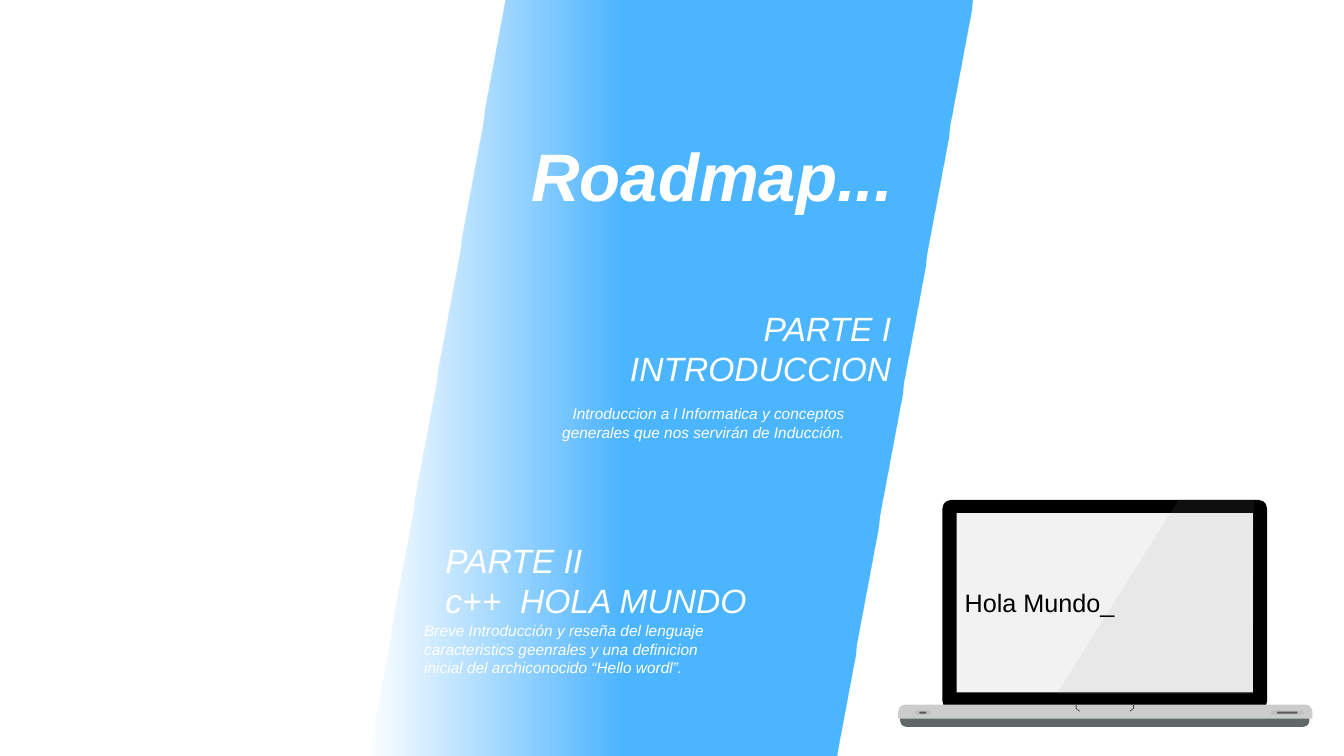
import copy
import pptx
import pptx.util
import pptx.dml.color
import pptx.enum.shapes
import pptx.enum.text
import pptx.oxml.ns
from lxml import etree

UNIT = pptx.util.Inches(0.1)  # grid: columns and rows of a tenth of an inch
KIND = pptx.enum.shapes.MSO_SHAPE
ALIGN = pptx.enum.text.PP_ALIGN
FIT = pptx.enum.text.MSO_AUTO_SIZE
BLUE, WHITE, BLACK = "0195FF", "FFFFFF", "000000"


def grid(*cells):
    return [round(cell * UNIT) for cell in cells]


def tint(color, code):
    color.rgb = pptx.dml.color.RGBColor.from_string(code)


def fade(node, share):
    """Set the opacity, in percent, of the colour inside a node."""
    color = next(node.iter(pptx.oxml.ns.qn("a:srgbClr")))
    for old in list(color):
        color.remove(old)
    alpha = etree.SubElement(color, pptx.oxml.ns.qn("a:alpha"))
    alpha.set("val", str(share * 1000))


def paint(shape, code):
    shape.shadow.inherit = False
    shape.line.fill.background()
    shape.fill.solid()
    tint(shape.fill.fore_color, code)


def add_part(shapes, kind, box, code, adjust=()):
    part = shapes.add_shape(kind, *grid(*box))
    paint(part, code)
    for spot, value in enumerate(adjust):
        part.adjustments[spot] = value
    return part


def add_free(shapes, loops, code):
    """Draw one outline from one or more closed loops of points."""
    loops = [[grid(*point) for point in loop] for loop in loops]
    pen = shapes.build_freeform(*loops[0][0], scale=1.0)
    for spot, loop in enumerate(loops):
        if spot:
            pen.move_to(*loop[0])
        pen.add_line_segments(loop[1:], close=True)
    free = pen.convert_to_shape()
    paint(free, code)
    return free


def write(shape, lines, size, code, align=ALIGN.LEFT, bold=False, slant=True):
    frame = shape.text_frame
    frame.word_wrap = True
    frame.vertical_anchor = pptx.enum.text.MSO_ANCHOR.MIDDLE
    para = frame.paragraphs[0]
    para.alignment = align
    for spot, line in enumerate(lines):
        if spot:
            para.add_line_break()
        run = para.add_run()
        run.text = line
        run.font.name = "Arial"
        run.font.size = pptx.util.Pt(size)
        run.font.bold = bold
        run.font.italic = slant
        tint(run.font.color, code)


def add_text(slide, box, lines, size, align):
    note = slide.shapes.add_textbox(*grid(*box))
    write(note, lines, size, WHITE, align)
    note.text_frame.auto_size = FIT.SHAPE_TO_FIT_TEXT


def add_band(slide):
    band = add_part(slide.shapes, KIND.PARALLELOGRAM,
                    (36.6, 0, 59.9, 75.2), BLUE, [0.226])
    band.fill.gradient()
    band.fill.gradient_angle = 0
    for stop, place in zip(band.fill.gradient_stops, (0, 0.42)):
        tint(stop.color, BLUE)
        stop.position = place
    first, mid = band._element.iter(pptx.oxml.ns.qn("a:gs"))
    fade(first, 0)
    fade(mid, 70)
    last = copy.deepcopy(mid)
    last.set("pos", "100000")
    mid.addnext(last)
    slide.shapes._spTree.insert(2, band._element)  # behind the title


def add_title(slide):
    title = slide.shapes.title
    title.left, title.top, title.width, title.height = grid(51.7, 12.8, 39, 9.1)
    write(title, ["Roadmap..."], 48, WHITE, bold=True)
    title.text_frame.auto_size = FIT.NONE


def add_laptop(slide):
    parts = slide.shapes.add_group_shape().shapes
    # Foot, lid and screen
    add_part(parts, KIND.ROUND_2_SAME_RECTANGLE,
             (89.3, 70.9, 40.6, 1.2), "5F6767", [0, 0.5])
    add_part(parts, KIND.ROUNDED_RECTANGLE,
             (93.5, 49.6, 32.2, 20.8), BLACK, [0.04])
    screen = add_part(parts, KIND.RECTANGLE, (94.9, 50.9, 29.4, 17.8), "F2F2F2")
    screen.text_frame.margin_left = grid(0.8)[0]
    write(screen, ["Hola Mundo_"], 18, BLACK, slant=False)
    # Base with its notch, one hook on each side
    add_part(parts, KIND.ROUND_2_SAME_RECTANGLE,
             (89.1, 69.9, 41.1, 1.4), "CCCCCC", [0.5, 0])
    hook = [(0, 0), (0, 0.4), (0.4, 0.7), (0.4, 0.6), (0.1, 0.4), (0.1, 0)]
    add_free(parts, [[(edge + way * x, 69.9 + y) for x, y in hook]
                     for edge, way in ((106.7, 1), (112.5, -1))], "4D4D4D")
    # Ports: a light slot with a dark core
    for left, wide, inset in ((90.8, 1.5, 0.4), (126.1, 3.2, 0.6)):
        add_part(parts, KIND.ROUNDED_RECTANGLE,
                 (left, 70.5, wide, 0.4), "BFBFBF", [0.28])
        add_part(parts, KIND.ROUNDED_RECTANGLE,
                 (left + inset, 70.6, wide - 2 * inset, 0.2), "595959", [0.28])
    # Glare
    glare = add_free(parts, [[(117, 49.5), (124.4, 49.5),
                              (124.3, 68.9), (104.8, 68.9)]], "999999")
    fade(glare._element.spPr, 10)


def main():
    deck = pptx.Presentation()
    deck.slide_width, deck.slide_height = grid(133.33, 75)
    slide = deck.slides.add_slide(deck.slide_layouts[5])
    add_band(slide)
    add_title(slide)
    # Part two, then part one
    add_text(slide, (41.1, 61.1, 32.5, 6.6),
             ["Breve Introducción y reseña del lenguaje caracteristics geenrales "
              "y una definicion inicial del archiconocido “Hello wordl”."],
             11, ALIGN.LEFT)
    add_text(slide, (43.2, 53, 32.5, 9.1),
             ["PARTE II ", "c++  HOLA MUNDO"], 24, ALIGN.LEFT)
    add_text(slide, (52.3, 39.6, 32.5, 4.7),
             ["Introduccion a l Informatica y conceptos generales que nos "
              "servirán de Inducción."], 11, ALIGN.RIGHT)
    add_text(slide, (56.9, 30, 32.5, 9.1),
             ["PARTE I", "INTRODUCCION"], 24, ALIGN.RIGHT)
    add_laptop(slide)
    deck.save("out.pptx")


if __name__ == "__main__":
    main()
